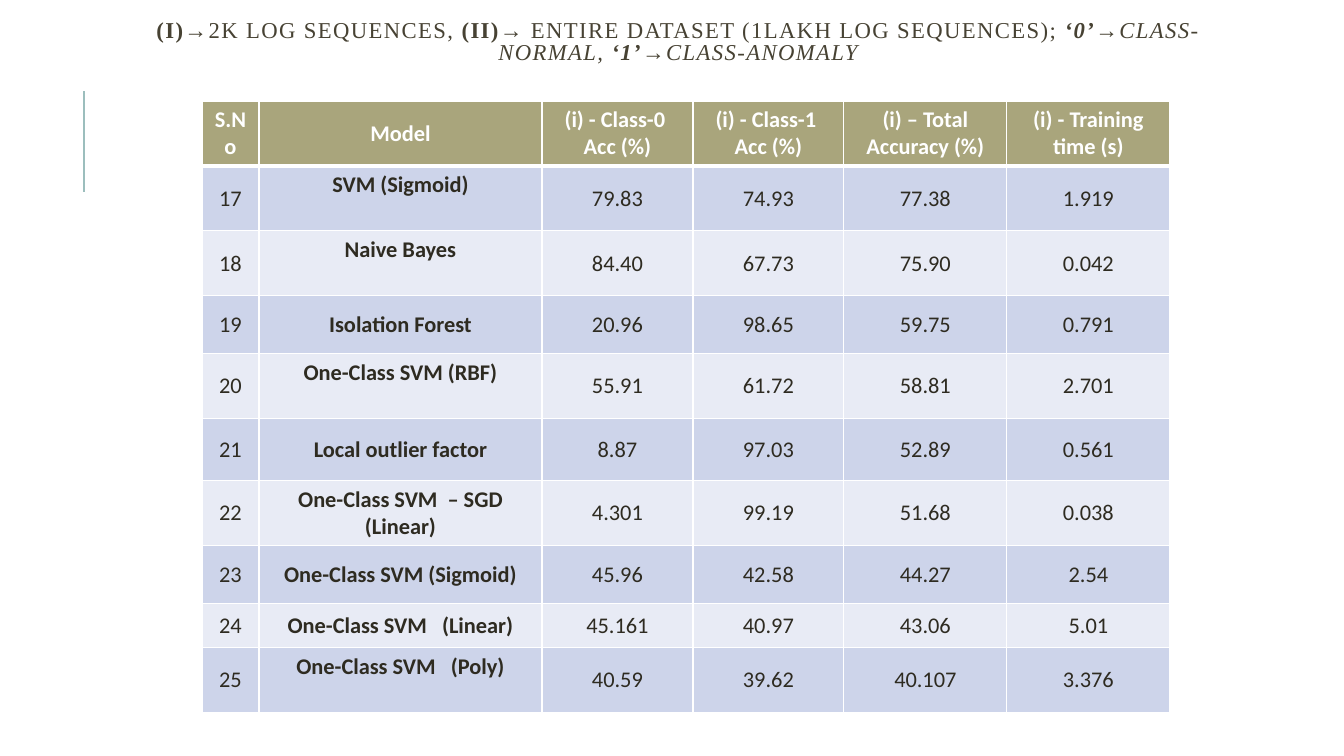
from dataclasses import dataclass

from lxml.etree import SubElement
from pptx import Presentation
from pptx.dml.color import RGBColor
from pptx.enum.shapes import MSO_CONNECTOR
from pptx.enum.text import MSO_ANCHOR, MSO_AUTO_SIZE, PP_ALIGN
from pptx.oxml.ns import qn
from pptx.util import Emu, Pt

EMU_PER_PX = 914400 / 100.8

WHITE = RGBColor(0xFF, 0xFF, 0xFF)
TITLE_INK = RGBColor(0x47, 0x42, 0x33)
BODY_INK = RGBColor(0x2E, 0x2B, 0x21)
RULE = RGBColor(0x9C, 0xBE, 0xBD)
HEADER_FILL = RGBColor(0xA9, 0xA5, 0x7C)
BANDS = (RGBColor(0xCD, 0xD4, 0xEA), RGBColor(0xE8, 0xEB, 0xF5))


@dataclass(frozen=True)
class TitleRun:
    text: str
    bold: bool = False
    italic: bool = False


@dataclass(frozen=True)
class Result:
    number: int
    model: str
    scores: tuple[str, str, str, str]
    height: int
    raised: bool = False


TITLE = (
    TitleRun("(I)", bold=True),
    TitleRun("→2K LOG SEQUENCES, "),
    TitleRun("(II)", bold=True),
    TitleRun("→ ENTIRE DATASET (1LAKH LOG SEQUENCES); "),
    TitleRun("‘0’", bold=True, italic=True),
    TitleRun("→CLASS-NORMAL, ", italic=True),
    TitleRun("‘1’", bold=True, italic=True),
    TitleRun("→CLASS-ANOMALY", italic=True),
)
HEADERS = (
    ("S.No",),
    ("Model",),
    ("(i) - Class-0 ", "Acc (%)"),
    ("(i) - Class-1 ", "Acc (%)"),
    ("(i) – Total Accuracy (%)",),
    ("(i) - Training time (s)",),
)
COLUMN_WIDTHS = (57, 283, 151, 151, 163, 163)
HEADER_HEIGHT = 64
RESULTS = (
    Result(17, "SVM (Sigmoid)", ("79.83", "74.93", "77.38", "1.919"), 65, True),
    Result(18, "Naive Bayes", ("84.40", "67.73", "75.90", "0.042"), 65, True),
    Result(19, "Isolation Forest", ("20.96", "98.65", "59.75", "0.791"), 58),
    Result(20, "One-Class SVM (RBF)", ("55.91", "61.72", "58.81", "2.701"), 65, True),
    Result(21, "Local outlier factor", ("8.87", "97.03", "52.89", "0.561"), 62),
    Result(22, "One-Class SVM  – SGD (Linear)", ("4.301", "99.19", "51.68", "0.038"), 65),
    Result(23, "One-Class SVM (Sigmoid)", ("45.96", "42.58", "44.27", "2.54"), 58),
    Result(24, "One-Class SVM   (Linear)", ("45.161", "40.97", "43.06", "5.01"), 44),
    Result(25, "One-Class SVM   (Poly)", ("40.59", "39.62", "40.107", "3.376"), 65, True),
)


def px(n: int) -> Emu:
    return Emu(round(n * EMU_PER_PX))


def add_title(s) -> None:
    sp = s.shapes.title
    sp.left, sp.top, sp.width, sp.height = px(105), px(23), px(1134), px(40)
    tf = sp.text_frame
    tf.word_wrap = True
    tf.auto_size = MSO_AUTO_SIZE.NONE
    tf.vertical_anchor = MSO_ANCHOR.MIDDLE
    p = tf.paragraphs[0]
    p.alignment = PP_ALIGN.CENTER
    p.line_spacing = 0.8
    p._p.get_or_add_pPr().set("marL", str(px(12)))
    for part in TITLE:
        r = p.add_run()
        r.text = part.text
        r.font.name = "Times New Roman"
        r.font.size = Pt(16.2)
        r.font.bold = part.bold
        r.font.italic = part.italic
        r.font.color.rgb = TITLE_INK
        r._r.get_or_add_rPr().set("spc", "100")


def add_side_rule(s) -> None:
    line = s.shapes.add_connector(MSO_CONNECTOR.STRAIGHT, px(84), px(192), px(84), px(91))
    line.line.color.rgb = RULE
    line.line.width = Pt(1.5)
    SubElement(line._element.spPr, qn("a:effectLst"))


def set_borders(cell, top: int, bottom: int) -> None:
    tc_pr = cell._tc.get_or_add_tcPr()
    for side, points in (("L", 1), ("R", 1), ("T", top), ("B", bottom)):
        ln = SubElement(tc_pr, qn(f"a:ln{side}"), w=str(Pt(points)))
        fill = SubElement(ln, qn("a:solidFill"))
        SubElement(fill, qn("a:srgbClr"), val=str(WHITE))


def fill_cell(cell, lines: tuple[str, ...], ink: RGBColor, fill: RGBColor,
              bold: bool, top: int = 1, bottom: int = 1) -> None:
    set_borders(cell, top, bottom)
    cell.fill.solid()
    cell.fill.fore_color.rgb = fill
    cell.vertical_anchor = MSO_ANCHOR.MIDDLE
    tf = cell.text_frame
    for i, text in enumerate(lines):
        p = tf.add_paragraph() if i else tf.paragraphs[0]
        p.alignment = PP_ALIGN.CENTER
        r = p.add_run()
        r.text = text
        r.font.name = "Calibri"
        r.font.size = Pt(16)
        r.font.bold = bold
        r.font.color.rgb = ink


def add_results(s) -> None:
    heights = (HEADER_HEIGHT, *(result.height for result in RESULTS))
    table = s.shapes.add_table(len(heights), len(COLUMN_WIDTHS), px(202), px(101),
                               px(sum(COLUMN_WIDTHS)), px(sum(heights))).table
    for column, width in zip(table.columns, COLUMN_WIDTHS):
        column.width = px(width)
    for row, height in zip(table.rows, heights):
        row.height = px(height)

    # Header row
    for col, lines in enumerate(HEADERS):
        fill_cell(table.cell(0, col), lines, WHITE, HEADER_FILL, True, bottom=3)

    # Banded result rows
    for i, result in enumerate(RESULTS):
        values = (str(result.number), result.model, *result.scores)
        for col, value in enumerate(values):
            fill_cell(table.cell(i + 1, col), (value,), BODY_INK, BANDS[i % 2],
                      col == 1, top=1 if i else 3)
        if result.raised:
            table.cell(i + 1, 1).margin_bottom = px(32)


def main() -> None:
    prs = Presentation()
    prs.slide_width, prs.slide_height = px(1344), px(756)
    s = prs.slides.add_slide(prs.slide_layouts[5])
    add_side_rule(s)
    add_title(s)
    add_results(s)
    prs.save("out.pptx")


if __name__ == "__main__":
    main()
